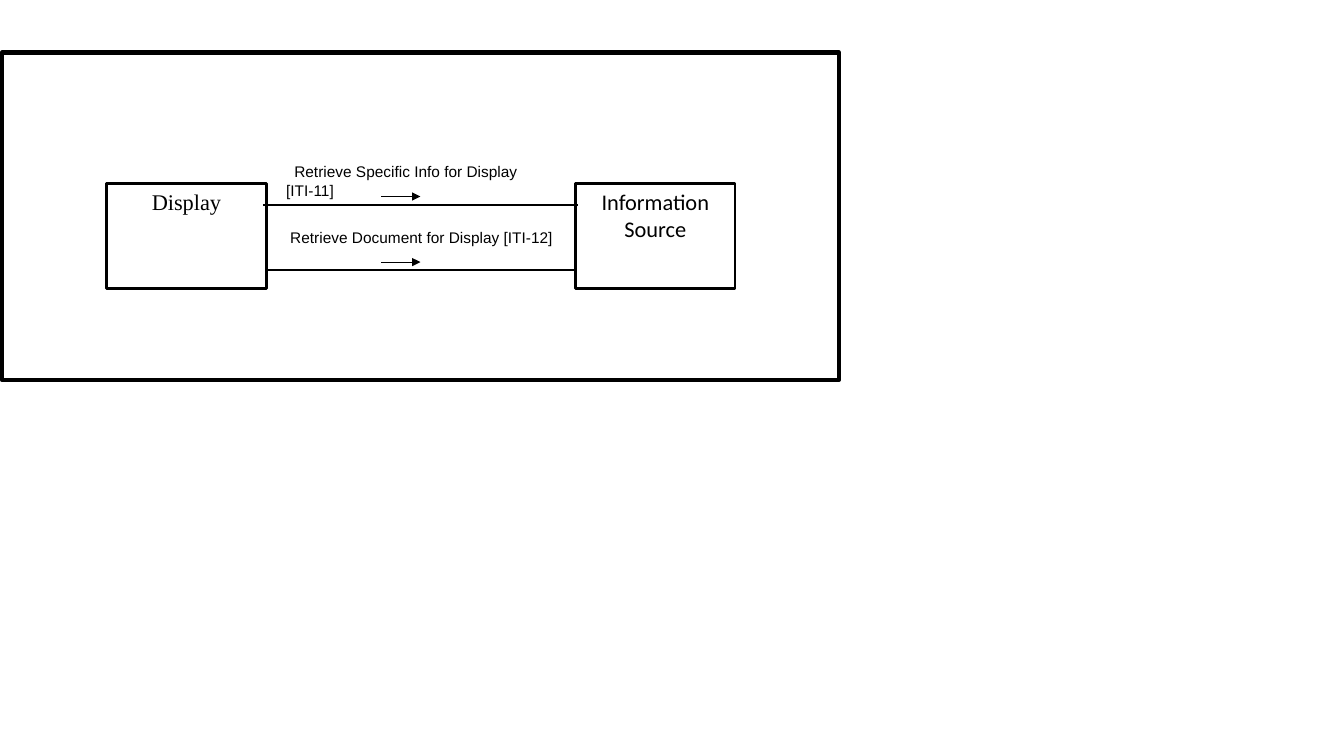
"""Build the Display and Information Source transaction diagram."""
from dataclasses import dataclass

from lxml import etree
from pptx import Presentation
from pptx.dml.color import RGBColor
from pptx.enum import shapes, text
from pptx.oxml import ns
from pptx.util import Inches, Pt

BLACK, WHITE = "000000", "FFFFFF"
ACTOR_TOP, ACTOR_WIDTH, ACTOR_HEIGHT = 1.82, 1.58, 1.04


@dataclass
class Actor:
    name: str
    left: float
    font: str


@dataclass
class Transaction:
    label: str
    line_y: float
    label_width: float
    indent: float


ACTORS = [
    Actor("Display", 1.06, "Times New Roman"),
    Actor("Information Source", 5.71, "Calibri"),
]
RETRIEVE_INFO = Transaction("Retrieve Specific Info for Display [ITI-11]", 2.03, 2.99, 0.08)
RETRIEVE_DOCUMENT = Transaction("Retrieve Document for Display [ITI-12]", 2.68, 2.86, 0.04)


def rgb(value: str) -> RGBColor:
    return RGBColor.from_string(value)


def add_run(paragraph, words: str, font: str, size: float) -> None:
    run = paragraph.add_run()
    run.text = words
    run.font.name = font
    run.font.size = Pt(size)
    run.font.color.rgb = rgb(BLACK)


def add_box(slide, left: float, top: float, width: float, height: float, weight: float):
    box = slide.shapes.add_shape(
        shapes.MSO_SHAPE.RECTANGLE, Inches(left), Inches(top), Inches(width), Inches(height))
    box.shadow.inherit = False
    box.fill.background()
    box.line.color.rgb = rgb(BLACK)
    box.line.width = Pt(weight)
    return box


def add_line(slide, start: float, end: float, y: float, weight: float, arrow: bool = False) -> None:
    line = slide.shapes.add_connector(
        shapes.MSO_CONNECTOR.STRAIGHT, Inches(start), Inches(y), Inches(end), Inches(y))
    line.line.color.rgb = rgb(BLACK)
    line.line.width = Pt(weight)
    if arrow:
        etree.SubElement(line.line._get_or_add_ln(), ns.qn("a:tailEnd"), type="triangle")
    etree.SubElement(line._element.spPr, ns.qn("a:effectLst"))


def add_actor(slide, actor: Actor) -> None:
    box = add_box(slide, actor.left, ACTOR_TOP, ACTOR_WIDTH, ACTOR_HEIGHT, 2)
    box.fill.solid()
    box.fill.fore_color.rgb = rgb(WHITE)
    frame = box.text_frame
    frame.word_wrap = True
    frame.vertical_anchor = text.MSO_ANCHOR.TOP
    frame.paragraphs[0].alignment = text.PP_ALIGN.CENTER
    add_run(frame.paragraphs[0], actor.name, actor.font, 16)


def add_link(slide, transaction: Transaction) -> None:
    add_line(slide, 2.61, 5.73, transaction.line_y, 1.5)


def add_label(slide, transaction: Transaction) -> None:
    label = slide.shapes.add_textbox(
        Inches(2.74), Inches(transaction.line_y - 0.47),
        Inches(transaction.label_width), Inches(0.39))
    label.text_frame.word_wrap = True
    paragraph = label.text_frame.paragraphs[0]
    paragraph._p.get_or_add_pPr().set("indent", str(Inches(transaction.indent)))
    add_run(paragraph, transaction.label, "Arial", 11)
    add_line(slide, 3.78, 4.17, transaction.line_y - 0.08, 0.75, arrow=True)


def main() -> None:
    deck = Presentation()
    deck.slide_width, deck.slide_height = Inches(13.33), Inches(7.5)
    slide = deck.slides.add_slide(deck.slide_layouts[6])
    add_box(slide, 0.02, 0.52, 8.3, 3.25, 3)
    add_link(slide, RETRIEVE_DOCUMENT)
    for actor in ACTORS:
        add_actor(slide, actor)
    add_link(slide, RETRIEVE_INFO)
    for transaction in (RETRIEVE_INFO, RETRIEVE_DOCUMENT):
        add_label(slide, transaction)
    deck.save("out.pptx")


if __name__ == "__main__":
    main()
